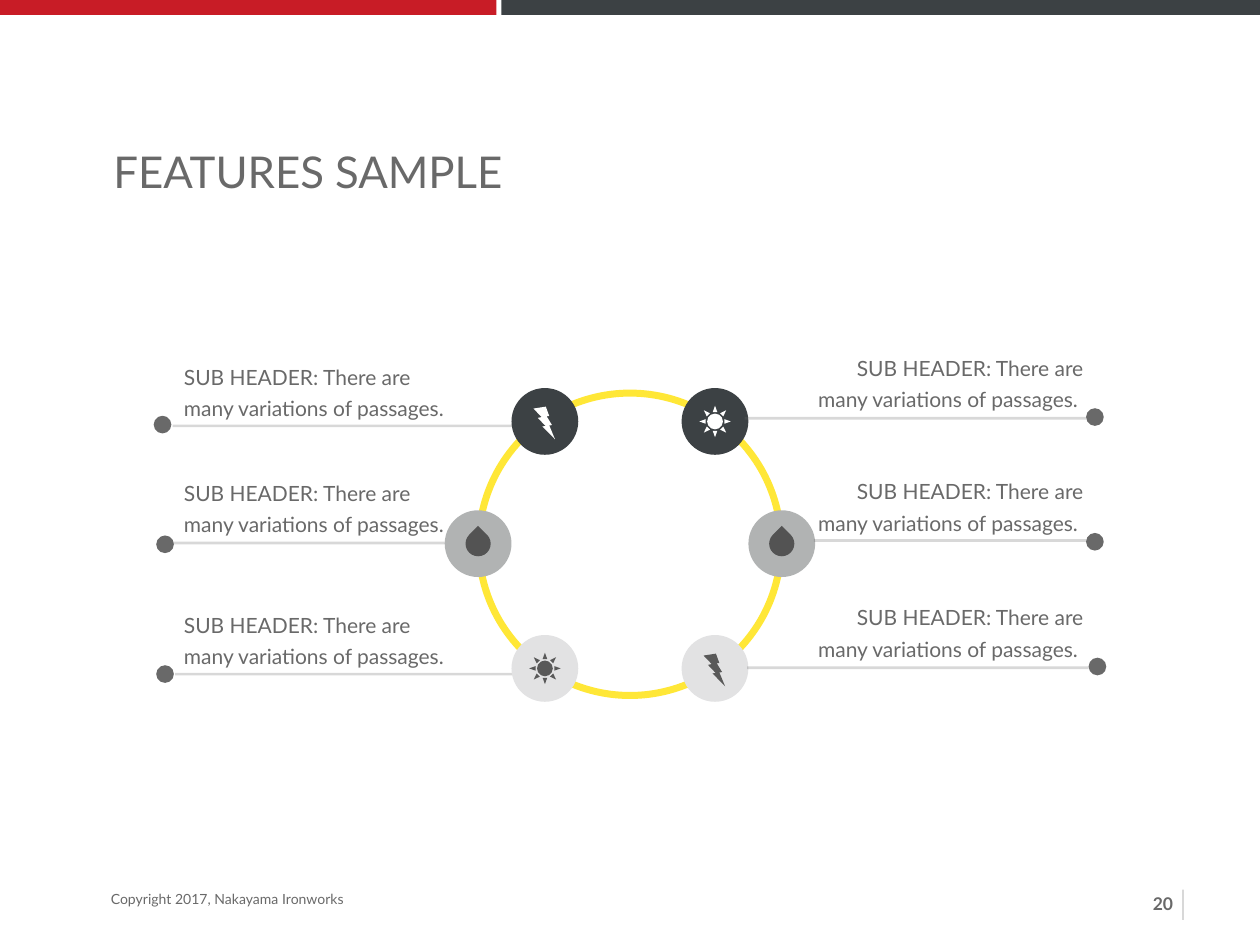
from lxml.etree import SubElement
from pptx import Presentation
from pptx.dml.color import RGBColor
from pptx.enum.shapes import MSO_CONNECTOR, MSO_SHAPE
from pptx.enum.text import MSO_AUTO_SIZE, PP_ALIGN
from pptx.oxml.ns import qn
from pptx.util import Inches, Pt

COLORS = {
    "red": "C81C26",
    "charcoal": "3C4144",
    "yellow": "FFE737",
    "text": "696969",
    "mid_gray": "B1B3B3",
    "light_gray": "E2E2E3",
    "drop": "535353",
    "icon": "595959",
    "white": "FFFFFF",
}

# The slide is a grid of 100 columns by 75 rows of square cells.
COLUMNS, ROWS = 100, 75
CELL = Inches(10) / COLUMNS

NODE, DOT = 5.3, 1.4
RING = 24
SUBHEADER = "SUB HEADER: There are many variations of passages."
BODY = {"size": Pt(12), "name": "Lato"}

# Icon: preset, size in cells, rotation
ICONS = {
    "bolt": (MSO_SHAPE.LIGHTNING_BOLT, 2.3, 15.6),
    "sun": (MSO_SHAPE.SUN, 2.5, 0),
    "drop": (MSO_SHAPE.TEAR, 2, 314.9),
}

# Ring rows: centre row, centre's distance from the middle column,
# node colour, icon colour, left icon, right icon
NODE_ROWS = [
    (43.15, 12.05, "mid_gray", "drop", "drop", "drop"),
    (33.45, 6.75, "charcoal", "white", "bolt", "sun"),
    (53.05, 6.75, "light_gray", "icon", "sun", "bolt"),
]

# Callouts: line start, line end, line row, dot column, dot row
LEFT_CALLOUTS = [
    (13.7, 40.7, 33.8, 12.2, 33),
    (13.9, 40.9, 53.5, 12.4, 52.8),
    (13.2, 35.4, 43.1, 12.4, 42.5),
]
RIGHT_CALLOUTS = [
    (86.2, 59.1, 33.2, 86.2, 32.4),
    (86.4, 59.3, 53, 86.4, 52.2),
    (86.9, 64.6, 42.9, 86.2, 42.3),
]

# Subheaders: column, rows, alignment, text
SUBHEADERS = [
    (14.6, (28.4, 37.6, 48.1), PP_ALIGN.LEFT, SUBHEADER),
    (64.8, (27.7, 37.5, 47.5), PP_ALIGN.RIGHT, SUBHEADER + " "),
]


def cells(*counts):
    return [round(count * CELL) for count in counts]


def rgb(name):
    return RGBColor.from_string(COLORS[name])


def add_filled(shapes, preset, box, color, rotation=0):
    shape = shapes.add_shape(preset, *cells(*box))
    shape.shadow.inherit = False
    shape.fill.solid()
    shape.fill.fore_color.rgb = rgb(color)
    shape.line.fill.background()
    shape.rotation = rotation


def add_centered(shapes, preset, center, size, color, rotation=0):
    column, row = center
    box = (column - size / 2, row - size / 2, size, size)
    add_filled(shapes, preset, box, color, rotation)


def add_rule(shapes, start, end, width):
    """Draw a gray line at a quarter of full opacity."""
    rule = shapes.add_connector(MSO_CONNECTOR.STRAIGHT, *cells(*start, *end))
    rule.line.width = Pt(width)
    rule.line.color.rgb = rgb("text")
    properties = rule._element.spPr
    SubElement(next(properties.iter(qn("a:srgbClr"))), qn("a:alpha"), val="25000")
    SubElement(properties, qn("a:effectLst"))


def add_text(shapes, box, text, font, align=PP_ALIGN.LEFT, spacing=None, margin=0, wrap=True):
    frame = shapes.add_textbox(*cells(*box)).text_frame
    frame_format = {"word_wrap": wrap, "auto_size": MSO_AUTO_SIZE.SHAPE_TO_FIT_TEXT}
    for side in ("left", "top", "right", "bottom"):
        frame_format["margin_" + side] = Inches(margin)
    for key, value in frame_format.items():
        setattr(frame, key, value)
    paragraph = frame.paragraphs[0]
    paragraph.alignment = align
    paragraph.line_spacing = spacing
    run = paragraph.add_run()
    run.text = text
    for key, value in font.items():
        setattr(run.font, key, value)
    run.font.color.rgb = rgb("text")


def add_callouts(shapes, callouts):
    for start, end, row, dot_column, dot_row in callouts:
        callout = shapes.add_group_shape().shapes
        add_rule(callout, (start, row), (end, row), 1.5)
        add_filled(callout, MSO_SHAPE.OVAL, (dot_column, dot_row, DOT, DOT), "text")


def add_ring(shapes):
    ring = shapes.add_shape(MSO_SHAPE.OVAL, *cells((COLUMNS - RING) / 2, 31.2, RING, RING))
    ring.shadow.inherit = False
    ring.fill.background()
    ring.line.color.rgb = rgb("yellow")
    ring.line.width = Pt(4)


def add_nodes(shapes):
    for row, offset, node_color, icon_color, *icons in NODE_ROWS:
        for side, icon in zip((-1, 1), icons):
            center = (COLUMNS / 2 + side * offset, row)
            preset, size, rotation = ICONS[icon]
            add_centered(shapes, MSO_SHAPE.OVAL, center, NODE, node_color)
            add_centered(shapes, preset, center, size, icon_color, rotation)


def add_subheaders(shapes):
    for column, rows, align, text in SUBHEADERS:
        for row in rows:
            add_text(shapes, (column, row, 21.2, 4.9), text, BODY, align, Pt(18))


def add_footer(shapes):
    add_text(shapes, (8.3, 70.2, 19.6, 2.4), "Copyright 2017, Nakayama Ironworks",
             BODY | {"size": Pt(8)}, margin=0.05, wrap=False)
    add_text(shapes, (90.9, 70.4, 2.7, 2.7), "20", BODY | {"size": Pt(10), "bold": True},
             PP_ALIGN.RIGHT, margin=0.05, wrap=False)
    add_rule(shapes, (93.9, 73), (93.9, 70.6), 1)


def main():
    deck = Presentation()
    deck.slide_width, deck.slide_height = cells(COLUMNS, ROWS)
    shapes = deck.slides.add_slide(deck.slide_layouts[6]).shapes

    add_callouts(shapes, LEFT_CALLOUTS)
    add_filled(shapes, MSO_SHAPE.RECTANGLE, (-0.4, -0.4, 39.8, 1.6), "red")
    add_filled(shapes, MSO_SHAPE.RECTANGLE, (39.8, -0.4, 60.6, 1.6), "charcoal")
    add_text(shapes, (9, 11.5, 76.7, 4.2), "FEATURES SAMPLE", BODY | {"size": Pt(25)})
    add_ring(shapes)
    add_nodes(shapes)
    add_callouts(shapes, RIGHT_CALLOUTS)
    add_subheaders(shapes)
    add_footer(shapes)
    deck.save("out.pptx")


if __name__ == "__main__":
    main()
